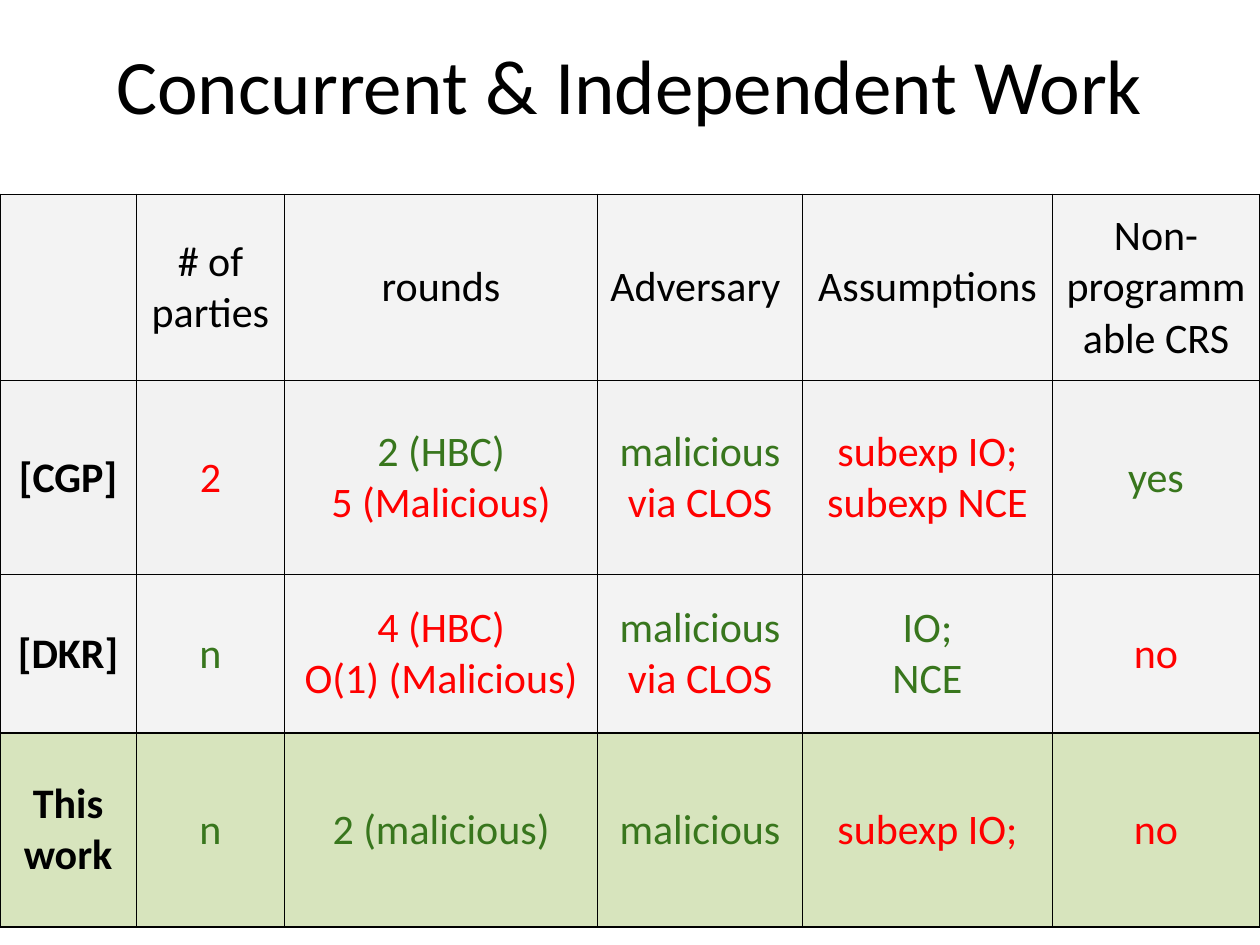
from lxml import etree
from pptx import Presentation
from pptx.dml.color import RGBColor
from pptx.enum.text import MSO_ANCHOR, PP_ALIGN
from pptx.oxml.ns import qn
from pptx.util import Pt

CENTER = PP_ALIGN.CENTER
MIDDLE = MSO_ANCHOR.MIDDLE
BOTTOM = MSO_ANCHOR.BOTTOM
FONT = "Calibri"
BLACK, RED, GREEN = "000000", "FF0000", "38761D"
COLS = [77.8, 85, 178.6, 117.4, 142.5, 118.7]
ROWS = [
    (97.9, "F3F3F3", [
        [], [("# of parties", BLACK)], [("rounds", BLACK)],
        [("Adversary ", BLACK)], [("Assumptions", BLACK)],
        [("Non-programmable CRS", BLACK)]]),
    (108.7, "F2F2F2", [
        [("[CGP]", BLACK)], [("2", RED)],
        [("2 (HBC)", GREEN), ("5 (Malicious)", RED)],
        [("malicious", GREEN), ("via CLOS", RED)],
        [("subexp IO;", RED), ("subexp NCE", RED)],
        [("yes", GREEN)]]),
    (88.6, "F3F3F3", [
        [("[DKR]", BLACK)], [("n", GREEN)],
        [("4 (HBC)", RED), ("O(1) (Malicious)", RED)],
        [("malicious", GREEN), ("via CLOS", RED)],
        [("IO;", GREEN), ("NCE", GREEN)],
        [("no", RED)]]),
    (108.7, "D7E4BD", [
        [("This work", BLACK)], [("n", GREEN)], [("2 (malicious)", GREEN)],
        [("malicious", GREEN)], [("subexp IO;", RED)], [("no", RED)]]),
]


def color(code):
    return RGBColor.from_string(code)


def style(para, size, code, bold=False):
    para.alignment = CENTER
    for run in para.runs:
        run.font.name = FONT
        run.font.size = Pt(size)
        run.font.bold = bold
        run.font.color.rgb = color(code)


def border(cell):
    props = cell._tc.get_or_add_tcPr()
    for side in ("lnL", "lnR", "lnT", "lnB"):
        line = etree.SubElement(props, qn("a:" + side), w=str(Pt(0.75)))
        fill = etree.SubElement(line, qn("a:solidFill"))
        etree.SubElement(fill, qn("a:srgbClr"), val=BLACK)


def fill_cell(cell, lines, back, bold):
    cell.vertical_anchor = MIDDLE
    cell.margin_left = cell.margin_right = Pt(7.2)
    cell.margin_top = cell.margin_bottom = Pt(9.4)
    border(cell)
    cell.fill.solid()
    cell.fill.fore_color.rgb = color(back)
    frame = cell.text_frame
    frame.text = "\n".join(text for text, _ in lines)
    for para, (_, code) in zip(frame.paragraphs, lines):
        style(para, 24, code, bold)


def add_title(slide, left, top, width, height):
    box = slide.shapes.add_textbox(Pt(left), Pt(top), Pt(width), Pt(height))
    frame = box.text_frame
    frame.word_wrap = True
    frame.vertical_anchor = BOTTOM
    frame.margin_left = frame.margin_right = Pt(7.2)
    frame.margin_top = frame.margin_bottom = Pt(7.2)
    frame.text = "Concurrent & Independent Work"
    style(frame.paragraphs[0], 44, BLACK)


def add_grid(slide, left, top, width, height):
    table = slide.shapes.add_table(
        len(ROWS), len(COLS), Pt(left), Pt(top), Pt(width), Pt(height)).table
    for col, size in zip(table.columns, COLS):
        col.width = Pt(width * size / sum(COLS))
    total = sum(size for size, _, _ in ROWS)
    for row, (size, back, cells) in zip(table.rows, ROWS):
        row.height = Pt(height * size / total)
        for index, lines in enumerate(cells):
            fill_cell(row.cells[index], lines, back, index == 0)


def main():
    deck = Presentation()
    deck.slide_width, deck.slide_height = Pt(720), Pt(540)
    slide = deck.slides.add_slide(deck.slide_layouts[6])
    add_grid(slide, 0, 111, 720, 412)
    add_title(slide, 36, -8.6, 648, 90)
    deck.save("out.pptx")


if __name__ == "__main__":
    main()
